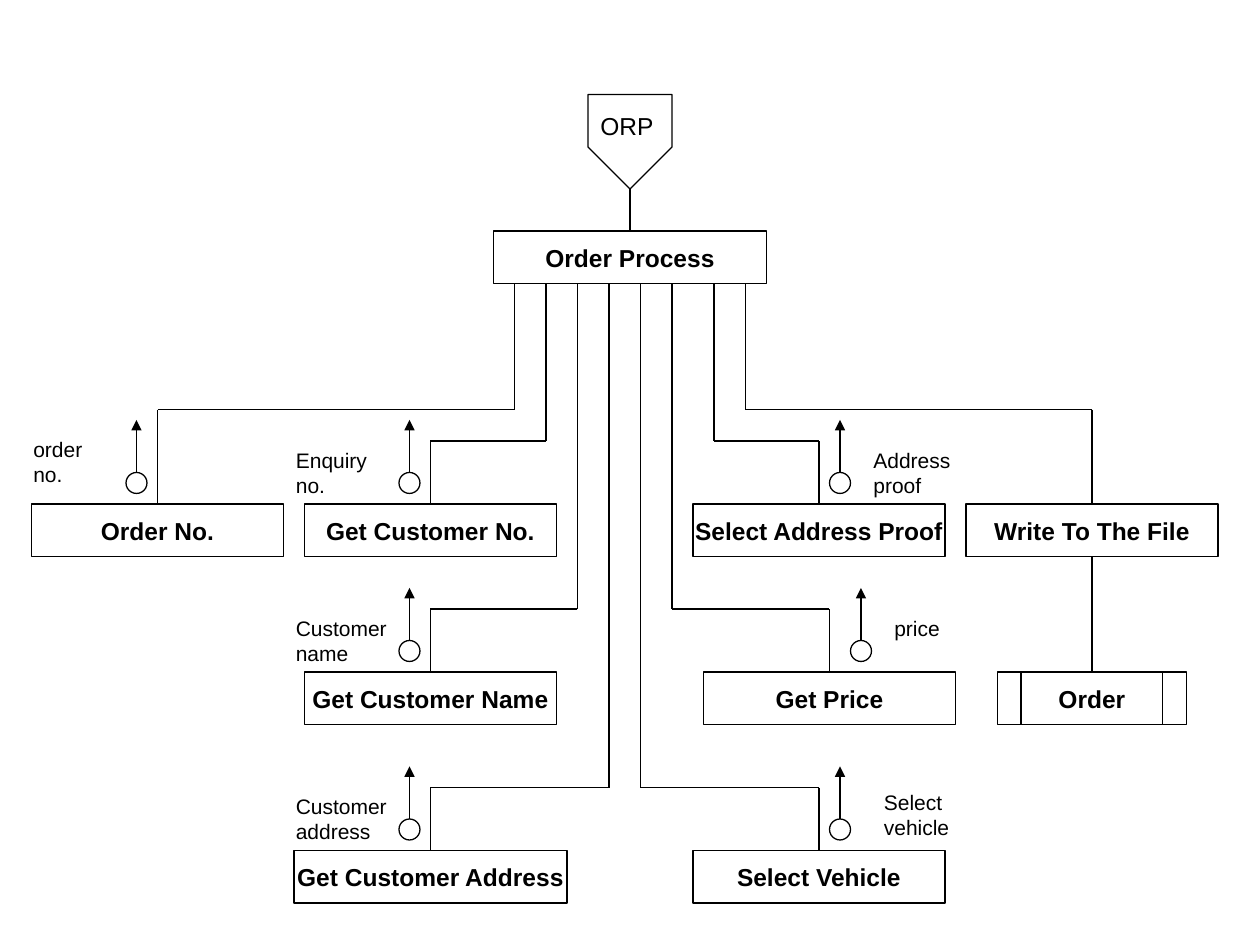
from itertools import pairwise

from lxml import etree
from pptx import Presentation
from pptx import util as u
from pptx.dml.color import RGBColor
from pptx.enum import shapes, text
from pptx.oxml.ns import qn

# All positions are counted in grid steps, twelve to 2.54 cm.
GRID = u.Cm(2.54) // 12
THEME = {"font": "Arial", "ink": RGBColor(0, 0, 0), "paper": RGBColor(255, 255, 255),
         "box_size": 14, "label_size": 12, "line": 0.75}

ROOT_BOTTOM, BOX_HEIGHT, CIRCLE = 27, 5, 2
PROCESS = shapes.MSO_SHAPE.FLOWCHART_PROCESS
STORE = shapes.MSO_SHAPE.FLOWCHART_PREDEFINED_PROCESS

# text, left, top, width, shape
BOXES = [
    ("Order Process", 47, 22, 26, PROCESS),
    ("Order No.", 3, 48, 24, PROCESS),
    ("Get Customer No.", 29, 48, 24, PROCESS),
    ("Select Address Proof", 66, 48, 24, PROCESS),
    ("Write To The File", 92, 48, 24, PROCESS),
    ("Get Customer Name", 29, 64, 24, PROCESS),
    ("Get Price", 67, 64, 24, PROCESS),
    ("Order", 95, 64, 18, STORE),
    ("Get Customer Address", 28, 81, 26, PROCESS),
    ("Select Vehicle", 66, 81, 24, PROCESS),
]
# x at the root box, y of the bend, x and top of the child box
BRANCHES = [
    (49, 39, 15, 48), (52, 42, 41, 48), (55, 58, 41, 64), (58, 75, 41, 81),
    (61, 75, 78, 81), (64, 58, 79, 64), (68, 42, 78, 48), (71, 39, 104, 48),
]
# x of the data arrow, top of the box it leaves
DATA_FLOWS = [(13, 48), (39, 48), (39, 64), (39, 81), (80, 48), (82, 64), (80, 81)]
# lines, left, top, width, height
FLOW_LABELS = [
    (["order", "no."], 2, 41, 7.5, 6),
    (["Enquiry", "no."], 27, 42, 10, 6),
    (["Customer", "name"], 27, 58, 11.5, 6),
    (["Customer", "address"], 27, 75, 11.5, 6),
    (["Address", "proof"], 82, 42, 10, 6),
    (["price"], 84, 58, 7.5, 6),
    (["Select", "vehicle"], 83, 74.6, 10, 6),
]
ENTRY_OUTLINE = [(56, 9), (64, 9), (64, 14), (60, 18), (56, 14)]

prs = Presentation()
prs.slide_width, prs.slide_height = u.Cm(25.4), u.Cm(19.05)
slide = prs.slides.add_slide(prs.slide_layouts[6])


def grid(*steps):
    return [u.Emu(round(step * GRID)) for step in steps]


def write(frame, lines, *, size, bold=False, align=text.PP_ALIGN.LEFT,
          anchor=text.MSO_ANCHOR.TOP, wrap=True):
    frame.word_wrap = wrap
    frame.vertical_anchor = anchor
    for i, line in enumerate(lines):
        paragraph = frame.add_paragraph() if i else frame.paragraphs[0]
        paragraph.alignment = align
        run = paragraph.add_run()
        run.text = line
        run.font.name, run.font.size, run.font.bold = THEME["font"], u.Pt(size), bold
        run.font.color.rgb = THEME["ink"]


def outline(shape):
    shape.shadow.inherit = False
    shape.fill.solid()
    shape.fill.fore_color.rgb = THEME["paper"]
    shape.line.color.rgb = THEME["ink"]
    shape.line.width = u.Pt(THEME["line"])
    return shape


def add_line(start, end, arrow=False):
    line = slide.shapes.add_connector(shapes.MSO_CONNECTOR.STRAIGHT, *grid(*start, *end))
    line.line.color.rgb = THEME["ink"]
    line.line.width = u.Pt(THEME["line"])
    if arrow:
        etree.SubElement(line.line._get_or_add_ln(), qn("a:tailEnd"), type="triangle")
    etree.SubElement(line._element.spPr, qn("a:effectLst"))


def add_label(lines, left, top, width, height, size):
    label = slide.shapes.add_textbox(*grid(left, top, width, height))
    write(label.text_frame, lines, size=size)


for root_x, bend_y, child_x, child_top in BRANCHES:
    corners = [(root_x, ROOT_BOTTOM), (root_x, bend_y), (child_x, bend_y), (child_x, child_top)]
    for start, end in pairwise(corners):
        add_line(start, end)
add_line((60, 18), (60, 22))
add_line((104, 53), (104, 64))

entry = slide.shapes.build_freeform(*ENTRY_OUTLINE[0], scale=GRID)
entry.add_line_segments(ENTRY_OUTLINE[1:], close=True)
outline(entry.convert_to_shape())
add_label(["ORP"], 56, 10, 8, 4, THEME["box_size"])

for caption, left, top, width, kind in BOXES:
    box = outline(slide.shapes.add_shape(kind, *grid(left, top, width, BOX_HEIGHT)))
    write(box.text_frame, [caption], size=THEME["box_size"], bold=True, wrap=False,
          align=text.PP_ALIGN.CENTER, anchor=text.MSO_ANCHOR.MIDDLE)

for x, box_top in DATA_FLOWS:
    add_line((x, box_top - 2), (x, box_top - 8), arrow=True)
    outline(slide.shapes.add_shape(
        shapes.MSO_SHAPE.OVAL, *grid(x - CIRCLE / 2, box_top - 3, CIRCLE, CIRCLE)))

for label in FLOW_LABELS:
    add_label(*label, THEME["label_size"])

prs.save("out.pptx")
